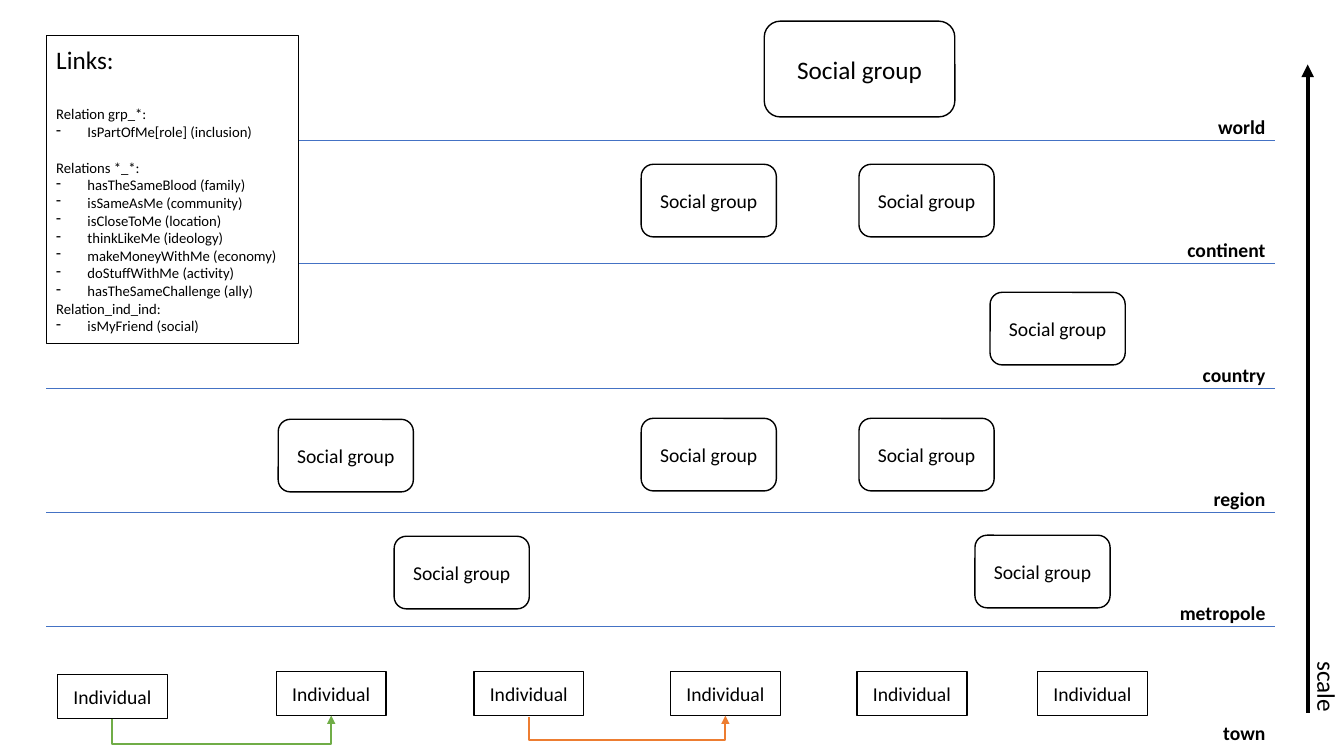
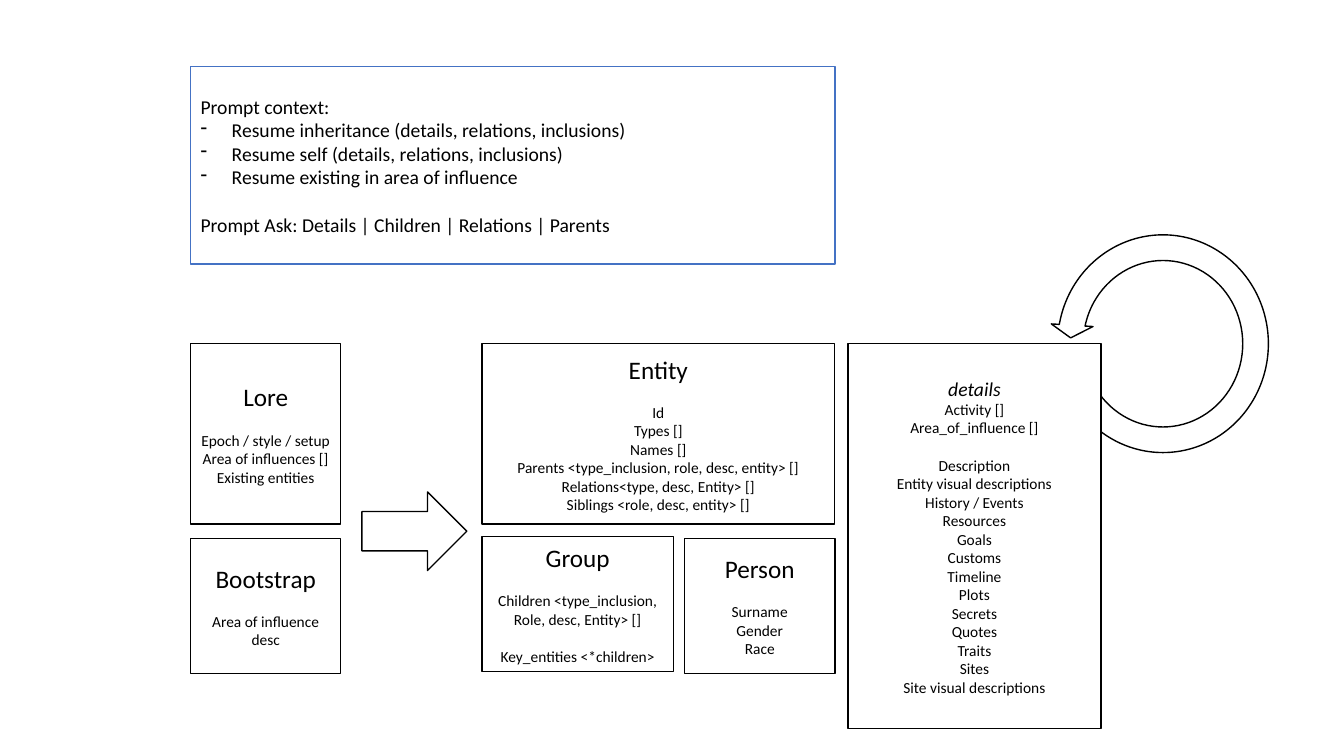
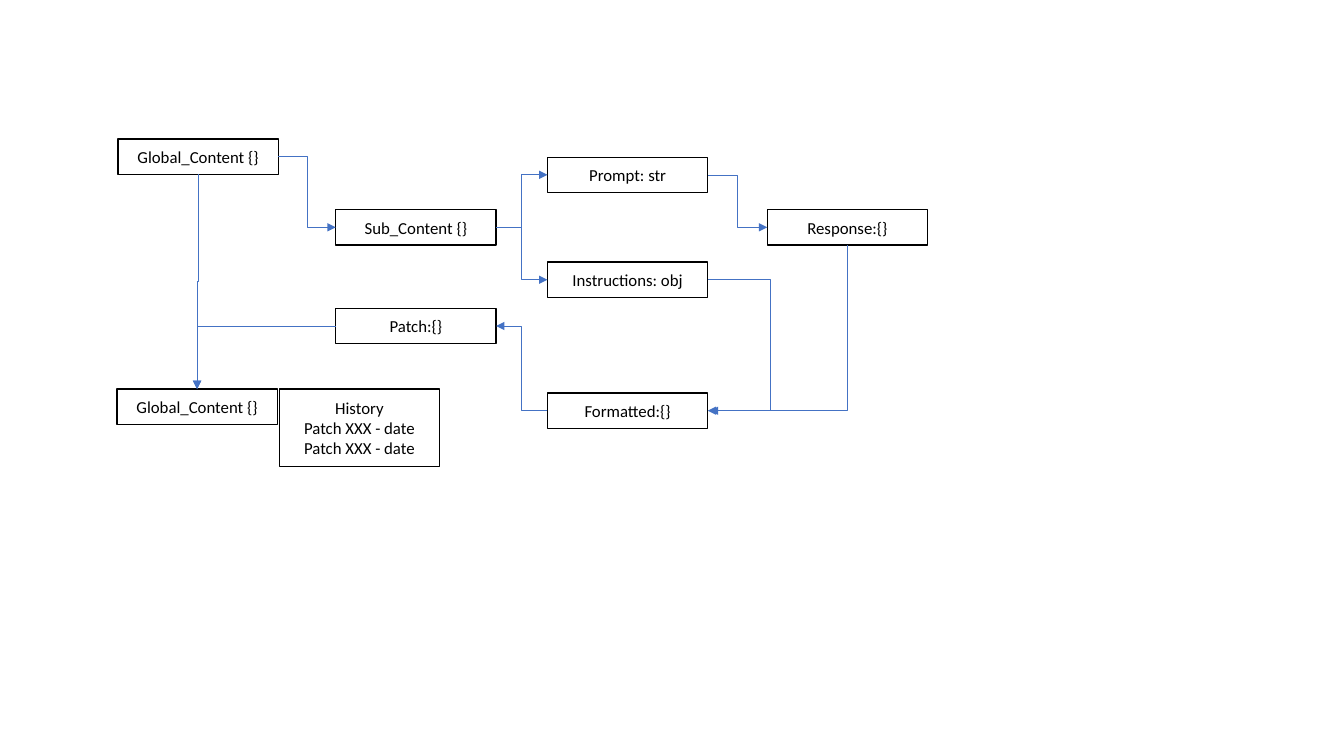
from dataclasses import dataclass

from lxml import etree
from pptx import Presentation
from pptx.dml.color import RGBColor
from pptx.enum.shapes import MSO_CONNECTOR, MSO_SHAPE
from pptx.enum.text import MSO_ANCHOR, MSO_AUTO_SIZE, PP_ALIGN
from pptx.oxml.ns import qn
from pptx.util import Inches, Pt

RECTANGLE = MSO_SHAPE.RECTANGLE
ROUNDED = MSO_SHAPE.ROUNDED_RECTANGLE
RIGHT_ARROW = MSO_SHAPE.RIGHT_ARROW
CIRCULAR_ARROW = MSO_SHAPE.CIRCULAR_ARROW
STRAIGHT, ELBOW = MSO_CONNECTOR.STRAIGHT, MSO_CONNECTOR.ELBOW
LEFT, CENTER, RIGHT = PP_ALIGN.LEFT, PP_ALIGN.CENTER, PP_ALIGN.RIGHT
TOP_SIDE, LEFT_SIDE, BOTTOM_SIDE, RIGHT_SIDE = range(4)


@dataclass(frozen=True)
class Theme:
    font: str = "Calibri"
    ink: str = "000000"
    paper: str = "FFFFFF"
    blue: str = "4472C4"
    green: str = "70AD47"
    orange: str = "ED7D31"
    heading: float = 18
    label: float = 14
    node: float = 12
    detail: float = 11
    link: float = 10.5
    line_height: float = 1.22
    indent: float = 0.31
    hairline: float = 0.5
    outline: float = 1
    flow: float = 1.5
    axis: float = 3


THEME = Theme()


@dataclass(frozen=True)
class Line:
    text: str
    size: float
    bullet: bool = False
    gap: float = 0
    bold: bool = False
    italic: bool = False


def color(value):
    return RGBColor.from_string(value)


def add_dash(para):
    properties = para._p.get_or_add_pPr()
    properties.set("marL", str(Inches(THEME.indent)))
    properties.set("indent", str(-Inches(THEME.indent)))
    etree.SubElement(properties, qn("a:buChar")).set("char", "-")


def write(frame, lines, align):
    frame.word_wrap = True
    for index, line in enumerate(lines):
        para = frame.add_paragraph() if index else frame.paragraphs[0]
        para.text = line.text
        para.alignment = align
        if line.bullet:
            add_dash(para)
        if line.gap:
            para.space_before = Pt(round(line.gap * THEME.line_height, 1))
        font = para.font
        font.name = THEME.font
        font.size = Pt(line.size)
        font.bold = line.bold
        font.italic = line.italic
        font.color.rgb = color(THEME.ink)


def add_box(page, kind, place, lines=(), align=CENTER, outline=THEME.ink):
    box = page.shapes.add_shape(kind, *map(Inches, place))
    box.shadow.inherit = False
    box.fill.solid()
    box.fill.fore_color.rgb = color(THEME.paper)
    box.line.color.rgb = color(outline)
    box.line.width = Pt(THEME.outline)
    box.text_frame.vertical_anchor = MSO_ANCHOR.MIDDLE
    write(box.text_frame, lines, align)
    return box


def add_label(page, place, line, align=LEFT):
    label = page.shapes.add_textbox(*map(Inches, place))
    write(label.text_frame, [line], align)
    label.text_frame.auto_size = MSO_AUTO_SIZE.SHAPE_TO_FIT_TEXT
    return label


def add_line(page, kind, start, end, stroke, width, arrow=False):
    line = page.shapes.add_connector(kind, *map(Inches, (*start, *end)))
    line.line.color.rgb = color(stroke)
    line.line.width = Pt(width)
    if arrow:
        tail = etree.SubElement(line.line._get_or_add_ln(), qn("a:tailEnd"))
        tail.set("type", "triangle")
    etree.SubElement(line._element.spPr, qn("a:effectLst"))
    return line


def add_elbow(page, start, end, stroke=THEME.blue, width=THEME.hairline,
              vertical=False, via=None, corner=False):
    (x1, y1), (x2, y2) = start, end
    run = y2 - y1 if vertical else x2 - x1
    first, last = start, end
    if vertical:
        mid_x, mid_y = (x1 + x2) / 2, (y1 + y2) / 2
        rise = x1 - x2
        first = (mid_x - run / 2, mid_y - rise / 2)
        last = (mid_x + run / 2, mid_y + rise / 2)
    elbow = add_line(page, ELBOW, first, last, stroke, width, arrow=True)
    properties = elbow._element.spPr
    if vertical:
        properties.find(qn("a:xfrm")).set("rot", str(90 * 60000))
    geometry = properties.find(qn("a:prstGeom"))
    if corner:
        geometry.set("prst", "bentConnector2")
    if via is not None:
        share = (via - (y1 if vertical else x1)) / run
        guide = etree.SubElement(geometry.find(qn("a:avLst")), qn("a:gd"))
        guide.set("name", "adj1")
        guide.set("fmla", f"val {round(share * 100000)}")


def side(box, index):
    left, top = box.left.inches, box.top.inches
    width, height = box.width.inches, box.height.inches
    return {
        TOP_SIDE: (left + width / 2, top),
        LEFT_SIDE: (left, top + height / 2),
        BOTTOM_SIDE: (left + width / 2, top + height),
        RIGHT_SIDE: (left + width, top + height / 2),
    }[index]


def titled(title, *details):
    size = THEME.detail
    return [Line(title, THEME.heading)] + [
        Line(text, size, gap=0 if index else size)
        for index, text in enumerate(details)
    ]


def dashes(size, *texts):
    return [Line(text, size, bullet=True) for text in texts]


def build_scale(page):
    scales = (("world", 1.39), ("continent", 2.61), ("country", 3.85),
              ("region", 5.08), ("metropole", 6.21), ("town", 7.4))
    for name, y in scales:
        if name != "town":
            add_line(page, STRAIGHT, (0.46, y), (12.65, y), THEME.blue, THEME.hairline)
        add_label(page, (11.38, y - 0.3, 1.27, 0.34),
                  Line(name, THEME.label, bold=True), RIGHT)
    add_line(page, STRAIGHT, (12.97, 7.07), (12.97, 0.64), THEME.ink, THEME.axis, arrow=True)
    add_label(page, (12.53, 6.9, 1.27, 0.4), Line("scale", THEME.heading)).rotation = 90

    spots = ((0.57, 6.69), (2.74, 6.66), (4.7, 6.66), (6.65, 6.66), (8.5, 6.66), (10.29, 6.66))
    people = [add_box(page, RECTANGLE, (x, y, 1.09, 0.44), [Line("Individual", THEME.label)])
              for x, y in spots]
    add_elbow(page, side(people[0], BOTTOM_SIDE), side(people[1], BOTTOM_SIDE),
              THEME.green, THEME.flow, vertical=True, via=7.38)
    add_elbow(page, (5.25, 7.11), side(people[3], BOTTOM_SIDE),
              THEME.orange, THEME.flow, vertical=True, via=7.35)

    size = THEME.link
    links = [
        Line("Links:", THEME.heading),
        Line("Relation grp_*:", size, gap=THEME.heading),
        *dashes(size, "IsPartOfMe[role] (inclusion)"),
        Line("Relations *_*:", size, gap=size),
        *dashes(size, "hasTheSameBlood (family)", "isSameAsMe (community)",
                "isCloseToMe (location)", "thinkLikeMe (ideology)",
                "makeMoneyWithMe (economy)", "doStuffWithMe (activity)",
                "hasTheSameChallenge (ally)"),
        Line("Relation_ind_ind:", size),
        *dashes(size, "isMyFriend (social)"),
    ]
    add_box(page, RECTANGLE, (0.46, 0.35, 2.5, 3.06), links, LEFT)

    add_box(page, ROUNDED, (7.58, 0.21, 1.89, 0.95), [Line("Social group", THEME.heading)])
    groups = ((6.36, 1.63), (8.52, 1.63), (9.82, 2.9), (6.36, 4.15), (8.52, 4.15),
              (2.76, 4.16), (9.67, 5.31), (3.91, 5.32))
    for x, y in groups:
        add_box(page, ROUNDED, (x, y, 1.34, 0.72), [Line("Social group", THEME.label)])


def build_entities(page):
    size = THEME.detail
    cards = (
        ((4.78, 3.41, 3.5, 1.79), titled(
            "Entity", "Id", "Types []", "Names []",
            "Parents <type_inclusion, role, desc, entity> []",
            "Relations<type, desc, Entity> []", "Siblings <role, desc, entity> []")),
        ((4.78, 5.32, 1.9, 1.34), titled(
            "Group", "Children <type_inclusion, Role, desc, Entity> []")
            + [Line("Key_entities <*children>", size, gap=size)]),
        ((6.79, 5.34, 1.49, 1.34), titled("Person", "Surname", "Gender", "Race")),
        ((1.89, 3.41, 1.49, 1.79), titled(
            "Lore", "Epoch / style / setup", "Area of influences []", "Existing entities")),
        ((1.89, 5.34, 1.49, 1.34), titled("Bootstrap", "Area of influence", "desc")),
    )
    for place, lines in cards:
        add_box(page, RECTANGLE, place, lines)

    add_box(page, RIGHT_ARROW, (3.59, 4.88, 1.04, 0.78))
    loop = add_box(page, CIRCULAR_ARROW, (10.41, 2.25, 2.25, 2.32))
    for index, value in enumerate((0.113, 4.732, 209.093, 17.71, 0.092)):
        loop.adjustments[index] = value
    loop._element.spPr.find(qn("a:xfrm")).set("flipH", "1")

    prompt = [
        Line("Prompt context:", THEME.label),
        *dashes(THEME.label, "Resume inheritance (details, relations, inclusions)",
                "Resume self (details, relations, inclusions)",
                "Resume existing in area of influence"),
        Line("Prompt Ask: Details | Children | Relations | Parents",
             THEME.label, gap=THEME.label),
    ]
    add_box(page, RECTANGLE, (1.89, 0.66, 6.39, 1.96), prompt, LEFT, THEME.blue)

    topics = ("Entity visual descriptions", "History / Events", "Resources", "Goals",
              "Customs", "Timeline", "Plots", "Secrets", "Quotes", "Traits", "Sites",
              "Site visual descriptions")
    details = [
        Line("details", THEME.label, italic=True),
        Line("Activity []", size),
        Line("Area_of_influence []", size),
        Line("Description", size, gap=size),
        *(Line(topic, size) for topic in topics),
    ]
    add_box(page, RECTANGLE, (8.41, 3.41, 2.51, 3.82), details)


def build_patch_flow(page):
    def node(x, y, *texts, height=0.35):
        return add_box(page, RECTANGLE, (x, y, 1.59, height),
                       [Line(text, THEME.node) for text in texts])

    content = node(1.17, 1.38, "Global_Content {}")
    node(2.77, 3.86, "History", "Patch XXX - date", "Patch XXX - date", height=0.77)
    part = node(3.33, 2.08, "Sub_Content {}")
    prompt = node(5.43, 1.56, "Prompt: str")
    instructions = node(5.43, 2.6, "Instructions: obj")
    response = node(7.61, 2.08, "Response:{}")
    formatted = node(5.43, 3.9, "Formatted:{}")
    patch = node(3.33, 3.06, "Patch:{}")
    patched = node(1.16, 3.86, "Global_Content {}")

    for source, target in ((content, part), (part, prompt), (part, instructions),
                           (prompt, response)):
        add_elbow(page, side(source, RIGHT_SIDE), side(target, LEFT_SIDE))
    formatted_x, formatted_y = side(formatted, RIGHT_SIDE)
    add_elbow(page, side(instructions, RIGHT_SIDE), (formatted_x + 0.02, formatted_y), via=7.64)
    add_elbow(page, side(response, BOTTOM_SIDE), (formatted_x, formatted_y),
              vertical=True, corner=True)
    add_elbow(page, side(formatted, LEFT_SIDE), side(patch, RIGHT_SIDE))
    add_elbow(page, side(patch, LEFT_SIDE), side(patched, TOP_SIDE), corner=True)
    add_elbow(page, side(content, BOTTOM_SIDE), side(patched, TOP_SIDE), vertical=True)


def main():
    deck = Presentation()
    deck.slide_width = Inches(13.33)
    deck.slide_height = Inches(7.5)
    blank = deck.slide_layouts[6]
    for build in (build_scale, build_entities, build_patch_flow):
        build(deck.slides.add_slide(blank))
    deck.save("out.pptx")


if __name__ == "__main__":
    main()
